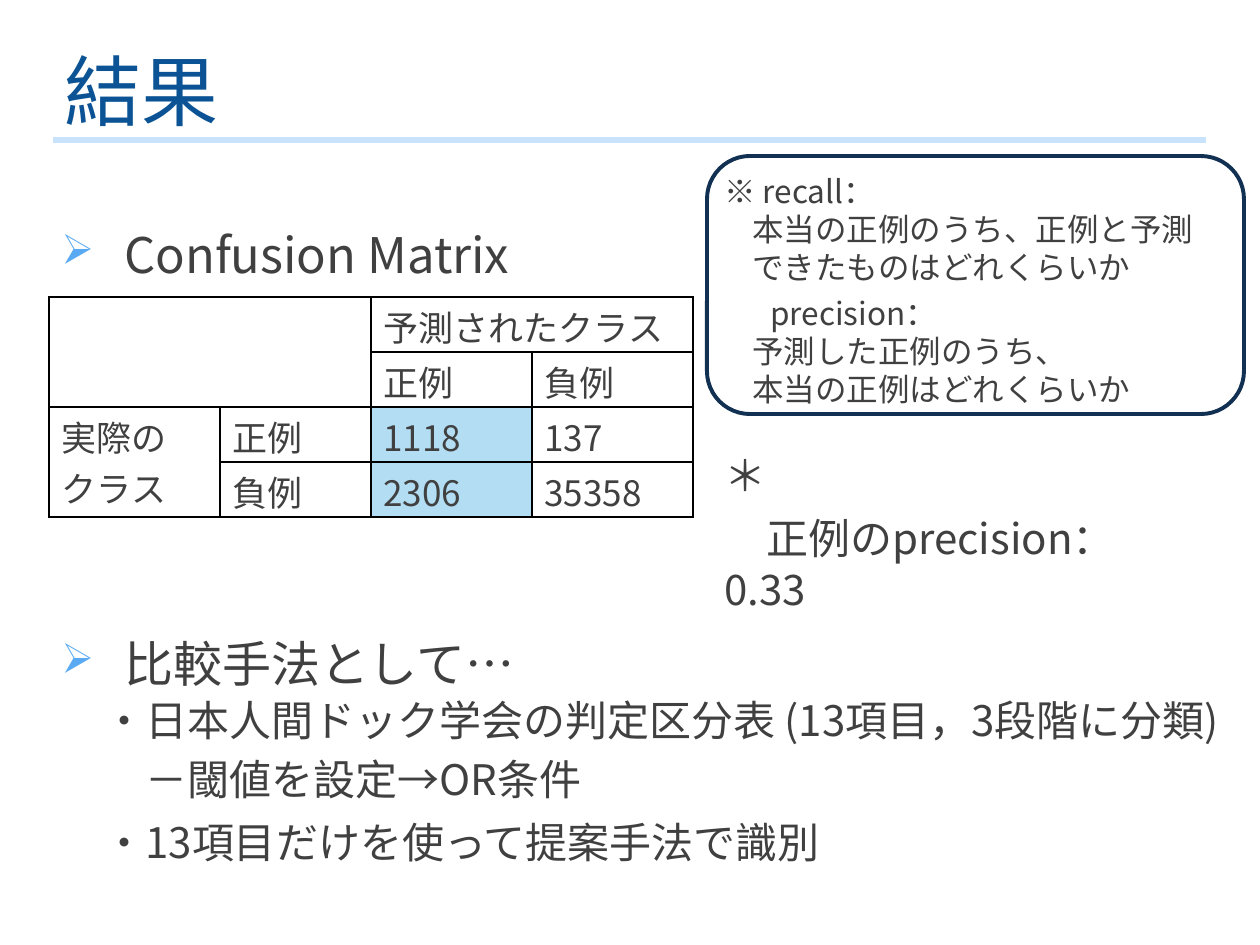
"""Build the results slide: confusion matrix, metric definitions and comparison methods."""
from lxml import etree
from pptx import Presentation
from pptx.dml.color import RGBColor
from pptx.enum.shapes import MSO_CONNECTOR, MSO_SHAPE
from pptx.oxml.ns import qn
from pptx.util import Emu, Pt

STRAIGHT = MSO_CONNECTOR.STRAIGHT
ROUNDED = MSO_SHAPE.ROUNDED_RECTANGLE
FONT = "Noto Sans CJK JP"
COLORS = {
    "title": "0B5394", "text": "404040", "bullet": "59AAF2", "rule": "C8E3FB",
    "frame": "113052", "border": "000000", "highlight": "B3DDF2",
}
PX_PER_INCH = 126
LINE_RATIO = 1.2
PAD = 6
HANG = 63

# Each line: text, size, left margin px, first-line indent px, space before pt
TEXTS = [
    {"box": (52, 30, 181, 106), "color": "title", "wrap": False,
     "lines": [("結果", 44, 0, 0, 0)]},
    {"box": (49, 215, 1186, 72), "color": "text", "wrap": True,
     "lines": [("Confusion Matrix", 28, HANG, -HANG, 0)]},
    {"box": (712, 440, 496, 127), "color": "text", "wrap": True,
     "lines": [("＊", 24, 0, 0, 0),
               ("正例のprecision：0.33", 24, 0, 42, 7)]},
    {"box": (49, 624, 1198, 246), "color": "text", "wrap": True,
     "lines": [("比較手法として…", 28, HANG, -HANG, 0),
               ("・日本人間ドック学会の判定区分表 (13項目，3段階に分類)", 24, 0, 42, 1),
               ("－閾値を設定→OR条件", 24, 0, 84, 5),
               ("・13項目だけを使って提案手法で識別", 24, 0, 42, 7)]},
    {"box": (712, 163, 548, 251), "color": "text", "wrap": True,
     "lines": [("※ recall：", 18, 0, 0, 0),
               ("本当の正例のうち、正例と予測", 18, 28, 0, 0),
               ("できたものはどれくらいか", 18, 28, 0, 0),
               ("precision：", 18, 46, 0, 5),
               ("予測した正例のうち、", 18, 28, 0, 0),
               ("本当の正例はどれくらいか", 18, 28, 0, 0)]},
]

MATRIX = [
    ["", "", "予測されたクラス", ""],
    ["", "", "正例", "負例"],
    ["実際の\nクラス", "正例", "1118", "137"],
    ["", "負例", "2306", "35358"],
]
MERGES = [((0, 2), (0, 3)), ((2, 0), (3, 0))]
CORNER = {(0, 0), (0, 1), (1, 0), (1, 1)}
HIGHLIGHTED = {(2, 2), (3, 2)}
MATRIX_LEFT, MATRIX_TOP = 49, 297
COLUMN_WIDTHS = [171, 151, 161, 161]
ROW_HEIGHT = 55
CELL_SIZE, CELL_LINE = 20, 29
SIDES = {"a:lnL": (0, -1), "a:lnR": (0, 1), "a:lnT": (-1, 0), "a:lnB": (1, 0)}

RULE = (53, 140, 1206, 140)
FRAME = (707, 156, 537, 258)


def px(length):
    return Emu(round(length * 914400 / PX_PER_INCH))


def rgb(name):
    return RGBColor.from_string(COLORS[name])


def style(paragraph, size, color, line):
    font = paragraph.font
    font.size, font.name, font.color.rgb = Pt(size), FONT, rgb(color)
    font._element.find(qn("a:latin")).addnext(
        etree.Element(qn("a:ea"), typeface=FONT))
    paragraph.line_spacing = Pt(line)


def add_bullet(properties):
    color = etree.Element(qn("a:buClr"))
    etree.SubElement(color, qn("a:srgbClr"), val=COLORS["bullet"])
    size = etree.Element(qn("a:buSzPct"), val="85000")
    mark = etree.Element(qn("a:buChar"), char="➢")
    for element in (color, size, mark):
        properties.find(qn("a:defRPr")).addprevious(element)


def add_text(slide, box, color, wrap, lines):
    frame = slide.shapes.add_textbox(*map(px, box)).text_frame
    frame.word_wrap = wrap
    first_size = lines[0][1]
    frame.margin_top = px(PAD + round(0.09 * first_size * PX_PER_INCH / 72))
    frame.text = "\n".join(line[0] for line in lines)
    for paragraph, (_, size, left, indent, before) in zip(frame.paragraphs, lines):
        style(paragraph, size, color, round(size * LINE_RATIO, 1))
        paragraph.space_before = Pt(before)
        properties = paragraph._p.get_or_add_pPr()
        properties.set("marL", str(px(left)))
        properties.set("indent", str(px(indent)))
        if indent < 0:
            add_bullet(properties)


def add_borders(cell, position):
    row, column = position
    properties = cell._tc.get_or_add_tcPr()
    for order, (tag, (down, across)) in enumerate(SIDES.items()):
        border = etree.Element(qn(tag), w=str(Pt(1)))
        if position in CORNER and (row + down, column + across) in CORNER:
            etree.SubElement(border, qn("a:noFill"))
        else:
            fill = etree.SubElement(border, qn("a:solidFill"))
            etree.SubElement(fill, qn("a:srgbClr"), val=COLORS["border"])
        properties.insert(order, border)


def add_matrix(slide):
    rows, columns = len(MATRIX), len(COLUMN_WIDTHS)
    table = slide.shapes.add_table(
        rows, columns, px(MATRIX_LEFT), px(MATRIX_TOP),
        px(sum(COLUMN_WIDTHS)), px(rows * ROW_HEIGHT)).table
    table.first_row = table.horz_banding = False
    for column, width in zip(table.columns, COLUMN_WIDTHS):
        column.width = px(width)
    for r, values in enumerate(MATRIX):
        table.rows[r].height = px(ROW_HEIGHT)
        for c, value in enumerate(values):
            cell = table.cell(r, c)
            cell.text = value
            cell.margin_top, cell.margin_bottom = px(4), 0
            for paragraph in cell.text_frame.paragraphs:
                style(paragraph, CELL_SIZE, "text", CELL_LINE)
            if (r, c) in HIGHLIGHTED:
                cell.fill.solid()
                cell.fill.fore_color.rgb = rgb("highlight")
            else:
                cell.fill.background()
            add_borders(cell, (r, c))
    for start, end in MERGES:
        table.cell(*start).merge(table.cell(*end))


def main():
    deck = Presentation()
    deck.slide_width, deck.slide_height = px(1260), px(945)
    slide = deck.slides.add_slide(deck.slide_layouts[6])

    rule = slide.shapes.add_connector(STRAIGHT, *map(px, RULE))
    rule.line.color.rgb, rule.line.width = rgb("rule"), Pt(3.25)
    etree.SubElement(rule._element.spPr, qn("a:effectLst"))

    for text in TEXTS[:2]:
        add_text(slide, **text)
    add_matrix(slide)
    for text in TEXTS[2:]:
        add_text(slide, **text)

    frame = slide.shapes.add_shape(ROUNDED, *map(px, FRAME))
    frame.shadow.inherit = False
    frame.fill.background()
    frame.line.color.rgb, frame.line.width = rgb("frame"), Pt(2.25)

    deck.save("out.pptx")


if __name__ == "__main__":
    main()
